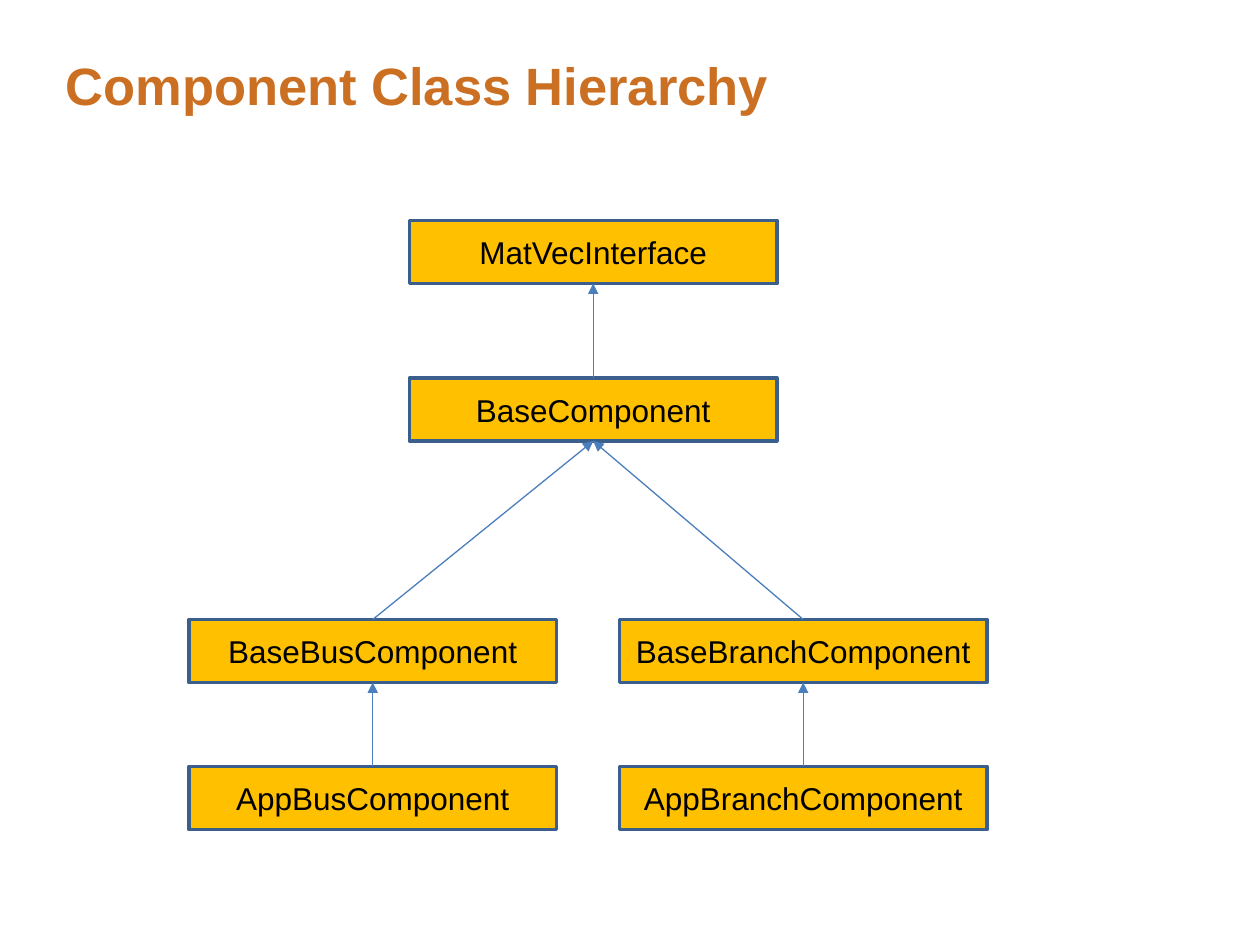
from lxml import etree
from pptx import Presentation
from pptx.dml.color import RGBColor
from pptx.enum.shapes import MSO_CONNECTOR, MSO_SHAPE
from pptx.enum.text import MSO_ANCHOR, PP_ALIGN
from pptx.oxml.ns import qn
from pptx.util import Emu, Pt

RECTANGLE = MSO_SHAPE.RECTANGLE
STRAIGHT = MSO_CONNECTOR.STRAIGHT
TOP, MIDDLE = MSO_ANCHOR.TOP, MSO_ANCHOR.MIDDLE
CENTER = PP_ALIGN.CENTER

EMU_PER_PX = 9525  # 96 px to the inch
BOX_WIDTH, BOX_HEIGHT = 280, 48
TOP_SITE, BOTTOM_SITE = 0, 2  # connection sites of a rectangle

BUS_LEFT, ROOT_LEFT, BRANCH_LEFT = 144, 312, 472

# class name: (left, top, parent class)
CLASSES = {
    "MatVecInterface": (ROOT_LEFT, 168, None),
    "BaseComponent": (ROOT_LEFT, 288, "MatVecInterface"),
    "BaseBusComponent": (BUS_LEFT, 472, "BaseComponent"),
    "BaseBranchComponent": (BRANCH_LEFT, 472, "BaseComponent"),
    "AppBusComponent": (BUS_LEFT, 584, "BaseBusComponent"),
    "AppBranchComponent": (BRANCH_LEFT, 584, "BaseBranchComponent"),
}


def px(length):
    return Emu(length * EMU_PER_PX)


def color(hex_code):
    return RGBColor.from_string(hex_code)


def style_text(paragraph, size, hex_code, bold=False):
    for run in paragraph.runs:
        run.font.name = "Arial"
        run.font.size = Pt(size)
        run.font.bold = bold
        run.font.color.rgb = color(hex_code)


def add_title(slide, text):
    title = slide.shapes.add_textbox(px(50), px(48), px(861), px(104))
    frame = title.text_frame
    frame.word_wrap = True
    frame.vertical_anchor = TOP
    frame.margin_left = frame.margin_right = 0
    frame.margin_top = frame.margin_bottom = 0
    frame.text = text
    heading = frame.paragraphs[0]
    heading.line_spacing = 0.85
    style_text(heading, 30, "CB7023", bold=True)


def add_class_box(slide, name, left, top):
    box = slide.shapes.add_shape(
        RECTANGLE, px(left), px(top), px(BOX_WIDTH), px(BOX_HEIGHT))
    box.shadow.inherit = False
    box.fill.solid()
    box.fill.fore_color.rgb = color("FFC000")
    box.line.color.rgb = color("3A5F8C")
    box.line.width = Pt(2)
    frame = box.text_frame
    frame.vertical_anchor = MIDDLE
    frame.text = name
    label = frame.paragraphs[0]
    label.alignment = CENTER
    style_text(label, 18, "000000")
    return box


def add_inheritance_arrow(slide, child, parent):
    arrow = slide.shapes.add_connector(STRAIGHT, 0, 0, 0, 0)
    arrow.begin_connect(child, TOP_SITE)
    arrow.end_connect(parent, BOTTOM_SITE)
    arrow.line.color.rgb = color("4B7EBC")
    arrow.line.width = Pt(0.75)
    # Arrowhead at the parent, no shadow
    line = arrow.line._get_or_add_ln()
    etree.SubElement(line, qn("a:tailEnd"), type="triangle")
    etree.SubElement(arrow._element.spPr, qn("a:effectLst"))


def main():
    presentation = Presentation()
    presentation.slide_width, presentation.slide_height = px(960), px(720)
    slide = presentation.slides.add_slide(presentation.slide_layouts[6])

    add_title(slide, "Component Class Hierarchy")

    # Each parent is listed before its children
    boxes = {}
    for name, (left, top, parent) in CLASSES.items():
        boxes[name] = add_class_box(slide, name, left, top)
        if parent:
            add_inheritance_arrow(slide, boxes[name], boxes[parent])

    presentation.save("out.pptx")


if __name__ == "__main__":
    main()
